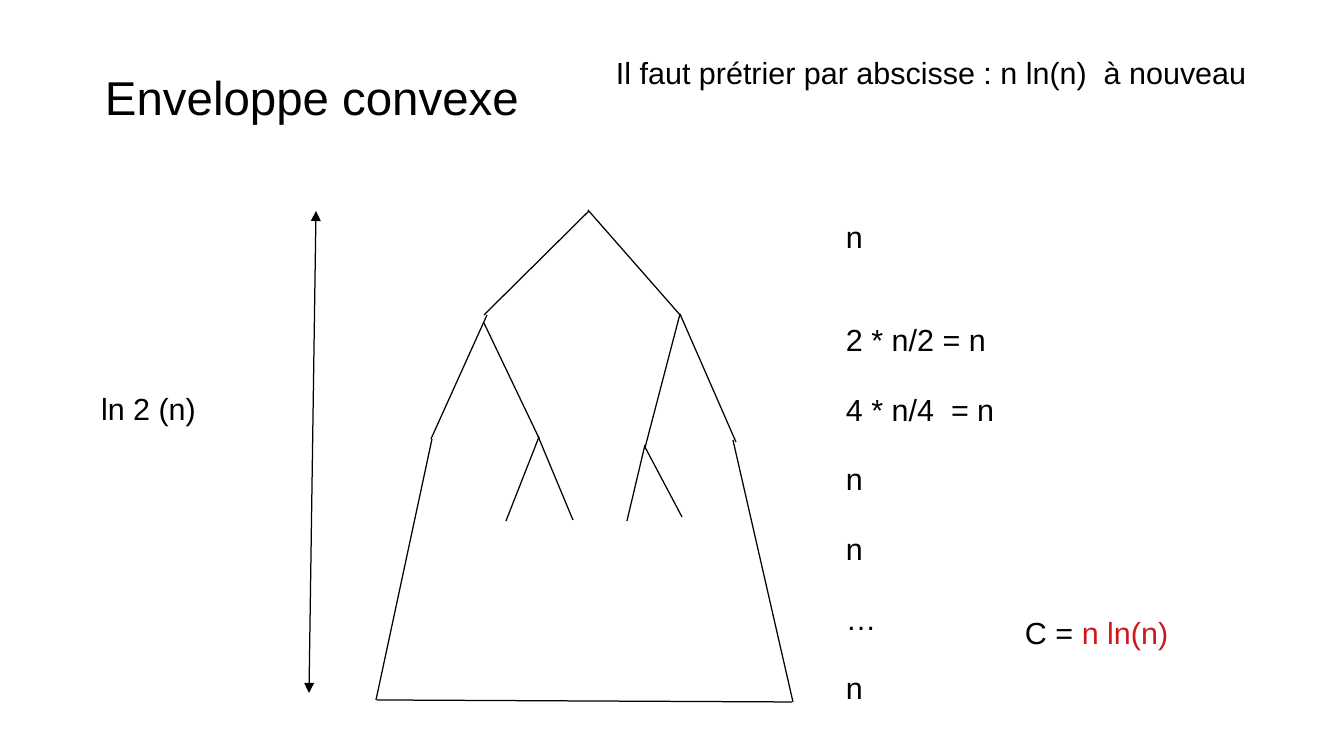
from lxml.etree import SubElement
from pptx import Presentation
from pptx.dml.color import RGBColor
from pptx.enum.shapes import MSO_CONNECTOR
from pptx.enum.text import MSO_ANCHOR, MSO_AUTO_SIZE, PP_ALIGN
from pptx.oxml.ns import qn
from pptx.util import Emu, Pt

BLACK = RGBColor(0x00, 0x00, 0x00)
RED = RGBColor(0xCE, 0x18, 0x1E)
WHITE = RGBColor(0xFF, 0xFF, 0xFF)
FONT = "Arial"
EMU_PER_PX = 914400 / 122
SLIDE_WIDTH, SLIDE_HEIGHT = 1344, 756

# Branches of the recursion tree, from its top left corner.
BRANCHES = [
    ((213, 1), (108, 105)), ((305, 106), (212, 0)),
    ((111, 105), (55, 229)), ((163, 228), (108, 113)),
    ((269, 238), (304, 104)), ((360, 232), (304, 104)),
    ((163, 227), (130, 311)), ((197, 310), (162, 226)),
    ((251, 311), (269, 235)), ((306, 307), (269, 237)),
]
OUTLINE = [
    ((56, 229), (0, 490)), ((417, 492), (357, 230)), ((1, 490), (416, 492)),
]

# Work done at each level, with the space before it in points.
LEVELS = [("n", 0), ("2 * n/2 = n", 41), ("4 * n/4  = n", 21),
          ("n", 21), ("n", 21), ("…", 21), ("n", 21)]


def px(length):
    return Emu(round(length * EMU_PER_PX))


def add_run(paragraph, text, size=18, color=BLACK):
    run = paragraph.add_run()
    run.text = text
    run.font.name = FONT
    run.font.size = Pt(size)
    run.font.bold = False
    run.font.color.rgb = color


def format_frame(frame, anchor=MSO_ANCHOR.TOP):
    frame.word_wrap = True
    frame.auto_size = MSO_AUTO_SIZE.NONE
    frame.vertical_anchor = anchor
    frame.margin_left = frame.margin_right = px(12)
    frame.margin_top = frame.margin_bottom = px(6)


def format_paragraph(paragraph, space_before=0):
    paragraph.alignment = PP_ALIGN.LEFT
    paragraph.line_spacing = 0.93
    paragraph.space_before = Pt(space_before)


def add_label(slide, box, *runs):
    """Add one line of text made of (text, color) runs."""
    frame = slide.shapes.add_textbox(*map(px, box)).text_frame
    format_frame(frame)
    paragraph = frame.paragraphs[0]
    format_paragraph(paragraph)
    for text, color in runs:
        add_run(paragraph, text, color=color)


def add_line(slide, start, end, arrows=False):
    line = slide.shapes.add_connector(
        MSO_CONNECTOR.STRAIGHT, *map(px, (*start, *end)))
    line.line.color.rgb = BLACK
    line.line.width = Pt(0.75)
    properties = line._element.spPr
    if arrows:
        outline = properties.find(qn("a:ln"))
        for tag in ("a:headEnd", "a:tailEnd"):
            SubElement(outline, qn(tag), type="triangle")
    SubElement(properties, qn("a:effectLst"))


def fill_title(slide, box):
    title = slide.shapes.title
    title.left, title.top, title.width, title.height = map(px, box)
    format_frame(title.text_frame, anchor=MSO_ANCHOR.MIDDLE)
    paragraph = title.text_frame.paragraphs[0]
    format_paragraph(paragraph)
    add_run(paragraph, "Enveloppe convexe", size=28)


def add_tree(slide, left, top):
    for start, end in BRANCHES + OUTLINE:
        add_line(slide, (left + start[0], top + start[1]),
                 (left + end[0], top + end[1]))


def add_level_costs(slide, box):
    frame = slide.shapes.add_textbox(*map(px, box)).text_frame
    format_frame(frame)
    for index, (cost, space_before) in enumerate(LEVELS):
        paragraph = frame.add_paragraph() if index else frame.paragraphs[0]
        format_paragraph(paragraph, space_before)
        add_run(paragraph, cost)


def add_depth(slide, left, top):
    """Add the depth of the tree and the double arrow that measures it."""
    add_label(slide, (left, top + 176, 162, 46), ("ln 2 (n)", BLACK))
    add_line(slide, (left + 227, top), (left + 220, top + 482), arrows=True)


def build_convex_hull_slide(presentation):
    slide = presentation.slides.add_slide(presentation.slide_layouts[5])
    slide.background.fill.solid()
    slide.background.fill.fore_color.rgb = WHITE
    fill_title(slide, (93, 67, 1004, 65))
    add_tree(slide, 376, 210)
    add_level_costs(slide, (834, 215, 278, 488))
    add_depth(slide, 89, 211)
    add_label(slide, (1013, 611, 223, 46), ("C = ", BLACK), ("n ln(n)", RED))
    add_label(slide, (604, 51, 659, 46),
              ("Il faut prétrier par abscisse : n ln(n)  à nouveau", BLACK))


def main():
    presentation = Presentation()
    presentation.slide_width = px(SLIDE_WIDTH)
    presentation.slide_height = px(SLIDE_HEIGHT)
    build_convex_hull_slide(presentation)
    presentation.save("out.pptx")


if __name__ == "__main__":
    main()
